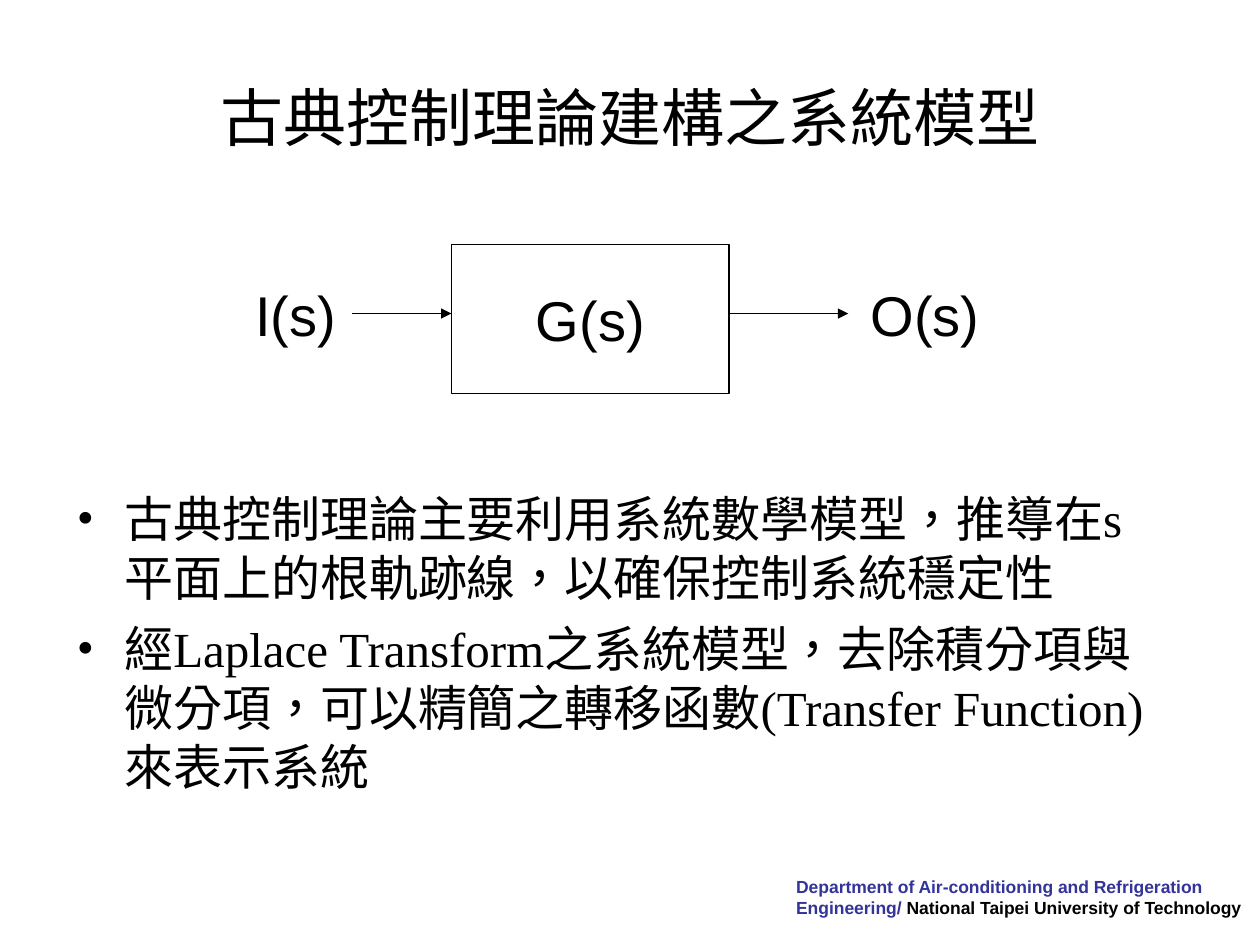
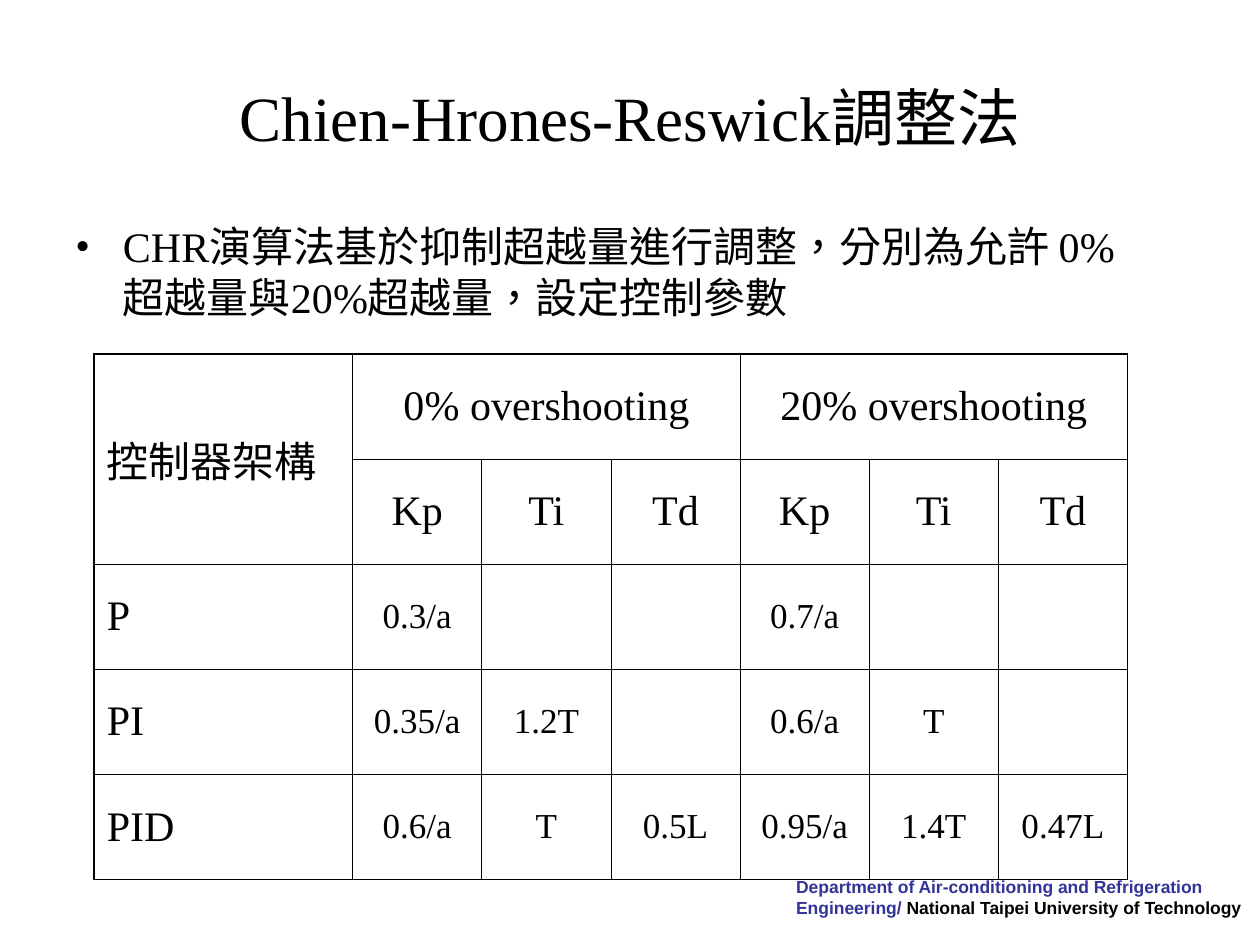
from dataclasses import dataclass

from lxml import etree
from pptx import Presentation
from pptx.dml.color import RGBColor
from pptx.enum.lang import MSO_LANGUAGE_ID
from pptx.enum.shapes import MSO_CONNECTOR, MSO_SHAPE
from pptx.enum.text import MSO_ANCHOR, PP_ALIGN
from pptx.oxml.ns import qn
from pptx.shapes.autoshape import Shape
from pptx.slide import Slide
from pptx.table import _Cell
from pptx.text.text import _Paragraph, _Run
from pptx.util import Cm, Length, Pt

BLACK = RGBColor(0x00, 0x00, 0x00)
WHITE = RGBColor(0xFF, 0xFF, 0xFF)
NAVY = RGBColor(0x33, 0x33, 0x99)
SERIF = "Times New Roman"
SANS = "Arial"
LEFT, CENTER = PP_ALIGN.LEFT, PP_ALIGN.CENTER
TOP, MIDDLE = MSO_ANCHOR.TOP, MSO_ANCHOR.MIDDLE
STRAIGHT = MSO_CONNECTOR.STRAIGHT
RECTANGLE = MSO_SHAPE.RECTANGLE
TAIWANESE = MSO_LANGUAGE_ID.TRADITIONAL_CHINESE
THIN, THICK = Pt(0.45), Pt(1.08)
BULLET_INDENT = Cm(0.96)
HEADER_ROWS = 2


@dataclass(frozen=True)
class Area:
    """Place and size of an element."""

    left: Length
    top: Length
    width: Length
    height: Length


@dataclass(frozen=True)
class TextStyle:
    """Look of a paragraph and its runs."""

    size: int
    font: str = SERIF
    color: RGBColor = BLACK
    bold: bool = False
    align: PP_ALIGN = LEFT


TITLE_AREA = Area(Cm(1.27), Cm(0.76), Cm(22.86), Cm(3.18))
FOOTER_AREA = Area(Cm(15.8), Cm(17.53), Cm(9.6), Cm(1.12))
MODEL_BODY_AREA = Area(Cm(1.3), Cm(9.73), Cm(22.63), Cm(6.58))
TUNING_BODY_AREA = Area(Cm(1.27), Cm(4.33), Cm(22.02), Cm(12.7))
BLOCK_AREA = Area(Cm(9.1), Cm(4.93), Cm(5.6), Cm(3))
INPUT_AREA = Area(Cm(4.9), Cm(5.54), Cm(3.81), Cm(1.63))
OUTPUT_AREA = Area(Cm(17.3), Cm(5.54), Cm(3.81), Cm(1.63))
TABLE_AREA = Area(Cm(1.9), Cm(7.13), Cm(20.83), Cm(10.6))
INPUT_START, OUTPUT_END = Cm(7.1), Cm(17.1)
SIGNAL_HEIGHT = Cm(6.32)
NAME_COLUMN_WIDTH = Cm(5.21)

TITLE_STYLE = TextStyle(36, align=CENTER)
SIGNAL_STYLE = TextStyle(32, SANS)
BLOCK_STYLE = TextStyle(32, SANS, align=CENTER)
DEPARTMENT_STYLE = TextStyle(10, SANS, NAVY, bold=True)
UNIVERSITY_STYLE = TextStyle(10, SANS, bold=True)
NAME_STYLE = TextStyle(24)
HEADER_STYLE = TextStyle(24, align=CENTER)
VALUE_STYLE = TextStyle(20, align=CENTER)

MODEL_POINTS = [
    "古典控制理論主要利用系統數學模型，推導在s 平面上的根軌跡線，以確保控制系統穩定性",
    "經Laplace Transform之系統模型，去除積分項與微分項，可以精簡之轉移函數(Transfer Function)來表示系統",
]
TUNING_POINTS = ["CHR演算法基於抑制超越量進行調整，分別為允許 0%超越量與20%超越量，設定控制參數"]
TUNING_ROWS = [
    ["控制器架構", "0% overshooting", "", "", "20% overshooting", "", ""],
    [""] + ["Kp", "Ti", "Td"] * 2,
    ["P", "0.3/a", "", "", "0.7/a", "", ""],
    ["PI", "0.35/a", "1.2T", "", "0.6/a", "T", ""],
    ["PID", "0.6/a", "T", "0.5L", "0.95/a", "1.4T", "0.47L"],
]
MERGES = [((0, 0), (1, 0)), ((0, 1), (0, 3)), ((0, 4), (0, 6))]


def style_run(span: _Run, style: TextStyle) -> None:
    """Apply a text style to a run."""
    span.font.name = style.font
    span.font.size = Pt(style.size)
    span.font.bold = style.bold
    span.font.color.rgb = style.color
    span.font.language_id = TAIWANESE


def style_paragraph(para: _Paragraph, style: TextStyle) -> None:
    """Apply a text style to a paragraph with its runs and line breaks."""
    para.alignment = style.align
    for span in para.runs:
        style_run(span, style)
    for line_break in para._p.findall(qn("a:br")):
        etree.SubElement(line_break, qn("a:rPr"), sz=str(style.size * 100))


def add_text(page: Slide, area: Area, text: str, style: TextStyle,
             anchor: MSO_ANCHOR = TOP) -> Shape:
    """Add a wrapping text box."""
    box = page.shapes.add_textbox(area.left, area.top, area.width, area.height)
    box.text_frame.word_wrap = True
    box.text_frame.vertical_anchor = anchor
    box.text_frame.text = text
    for para in box.text_frame.paragraphs:
        style_paragraph(para, style)
    return box


def add_bullets(page: Slide, area: Area, points: list[str], size: int) -> None:
    """Add a bulleted text box."""
    box = add_text(page, area, "\n".join(points), TextStyle(size))
    for number, para in enumerate(box.text_frame.paragraphs):
        properties = para._p.get_or_add_pPr()
        properties.set("marL", str(BULLET_INDENT))
        properties.set("indent", str(-BULLET_INDENT))
        if number:
            para.space_before = Pt(size / 4)
        color = etree.SubElement(properties, qn("a:buClr"))
        etree.SubElement(color, qn("a:srgbClr"), val=str(BLACK))
        etree.SubElement(properties, qn("a:buFont"), typeface=SERIF)
        etree.SubElement(properties, qn("a:buChar"), char="•")


def add_page(deck: Presentation, title: str) -> Slide:
    """Add a blank slide with its title and footer."""
    page = deck.slides.add_slide(deck.slide_layouts[6])
    footer = add_text(page, FOOTER_AREA,
                      "Department of Air-conditioning and Refrigeration \vEngineering/ ",
                      DEPARTMENT_STYLE)
    university = footer.text_frame.paragraphs[0].add_run()
    university.text = "National Taipei University of Technology"
    style_run(university, UNIVERSITY_STYLE)
    add_text(page, TITLE_AREA, title, TITLE_STYLE, MIDDLE)
    return page


def add_block(page: Slide, area: Area, text: str) -> Shape:
    """Add a transfer function block."""
    block = page.shapes.add_shape(RECTANGLE, area.left, area.top, area.width, area.height)
    block.shadow.inherit = False
    block.fill.solid()
    block.fill.fore_color.rgb = WHITE
    block.line.color.rgb = BLACK
    block.line.width = Pt(0.75)
    frame = block.text_frame
    frame.word_wrap = False
    frame.vertical_anchor = MIDDLE
    frame.text = text
    style_paragraph(frame.paragraphs[0], BLOCK_STYLE)
    return block


def add_arrow(page: Slide, start: Length, end: Length) -> None:
    """Add a horizontal signal arrow."""
    arrow = page.shapes.add_connector(STRAIGHT, start, SIGNAL_HEIGHT, end, SIGNAL_HEIGHT)
    arrow.line.color.rgb = BLACK
    arrow.line.width = Pt(0.75)
    properties = arrow.element.spPr
    etree.SubElement(properties.find(qn("a:ln")), qn("a:tailEnd"), type="triangle")
    etree.SubElement(properties, qn("a:effectLst"))


def set_borders(cell: _Cell, widths: dict[str, Length]) -> None:
    """Draw the borders of a table cell."""
    properties = cell._tc.get_or_add_tcPr()
    for side, width in widths.items():
        line = etree.SubElement(properties, qn(f"a:ln{side}"), w=str(width))
        fill = etree.SubElement(line, qn("a:solidFill"))
        etree.SubElement(fill, qn("a:srgbClr"), val=str(BLACK))


def add_tuning_table(page: Slide, area: Area, rows: list[list[str]]) -> None:
    """Add the table of controller parameters."""
    row_count, column_count = len(rows), len(rows[0])
    table = page.shapes.add_table(row_count, column_count, area.left, area.top,
                                  area.width, area.height).table
    table.first_row = False
    table.horz_banding = False
    value_width = (area.width - NAME_COLUMN_WIDTH) // (column_count - 1)
    for index, column in enumerate(table.columns):
        column.width = value_width if index else NAME_COLUMN_WIDTH
    for first, last in MERGES:
        table.cell(*first).merge(table.cell(*last))
    for row, texts in enumerate(rows):
        for column, text in enumerate(texts):
            cell = table.cell(row, column)
            if cell.is_spanned:
                continue
            set_borders(cell, {
                "L": THICK if column == 0 else THIN,
                "R": THICK if column + cell.span_width == column_count else THIN,
                "T": THICK if row == 0 else THIN,
                "B": THICK if row + cell.span_height == row_count else THIN,
            })
            cell.fill.solid()
            cell.fill.fore_color.rgb = WHITE
            cell.vertical_anchor = MIDDLE
            cell.text_frame.text = text
            body_style = HEADER_STYLE if row < HEADER_ROWS else VALUE_STYLE
            style_paragraph(cell.text_frame.paragraphs[0], body_style if column else NAME_STYLE)


def build_model_page(deck: Presentation) -> None:
    """Build the system model slide."""
    page = add_page(deck, "古典控制理論建構之系統模型")
    add_bullets(page, MODEL_BODY_AREA, MODEL_POINTS, 28)
    block = add_block(page, BLOCK_AREA, "G(s)")
    add_arrow(page, block.left + block.width, OUTPUT_END)
    add_arrow(page, INPUT_START, block.left)
    add_text(page, OUTPUT_AREA, "O(s)", SIGNAL_STYLE)
    add_text(page, INPUT_AREA, "I(s)", SIGNAL_STYLE)


def build_tuning_page(deck: Presentation) -> None:
    """Build the tuning method slide."""
    page = add_page(deck, "Chien-Hrones-Reswick調整法")
    add_bullets(page, TUNING_BODY_AREA, TUNING_POINTS, 24)
    add_tuning_table(page, TABLE_AREA, TUNING_ROWS)


def main() -> None:
    """Build and save the deck."""
    deck = Presentation()
    deck.slide_width, deck.slide_height = Cm(25.4), Cm(19.05)
    build_model_page(deck)
    build_tuning_page(deck)
    deck.save("out.pptx")


if __name__ == "__main__":
    main()
